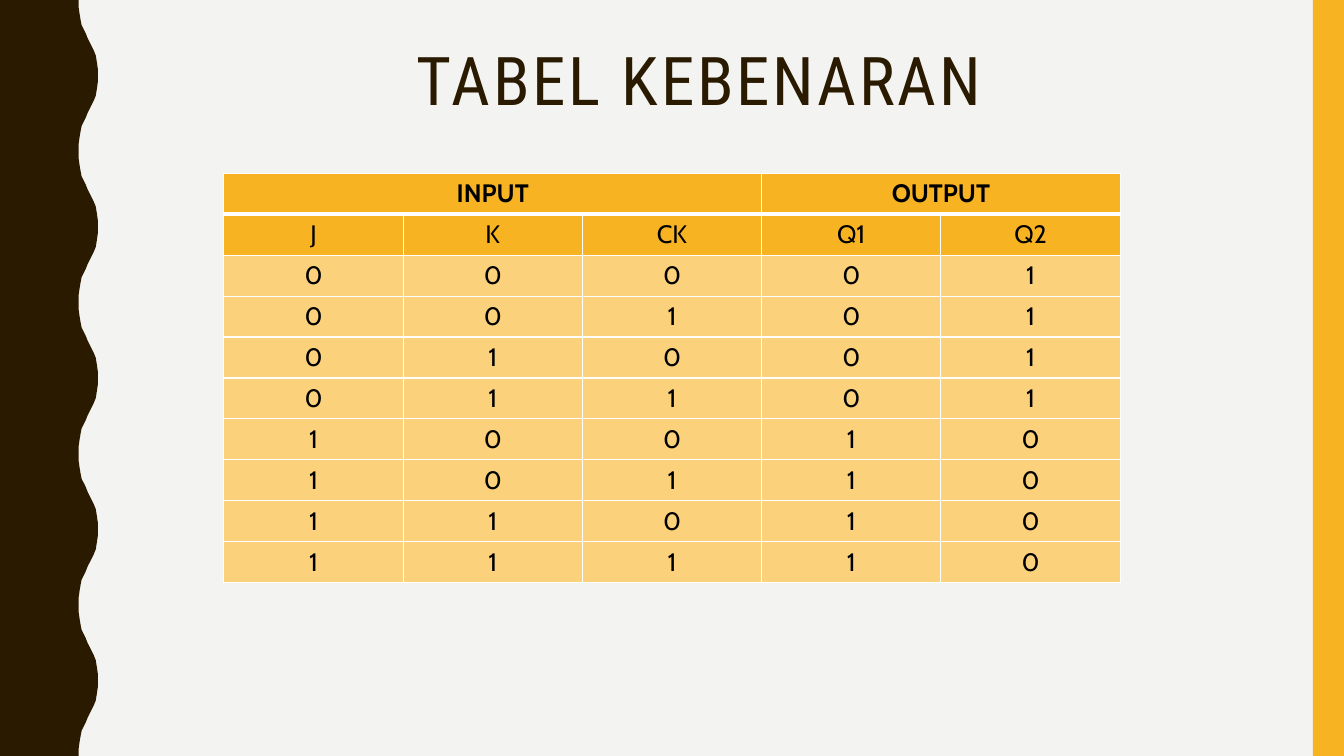
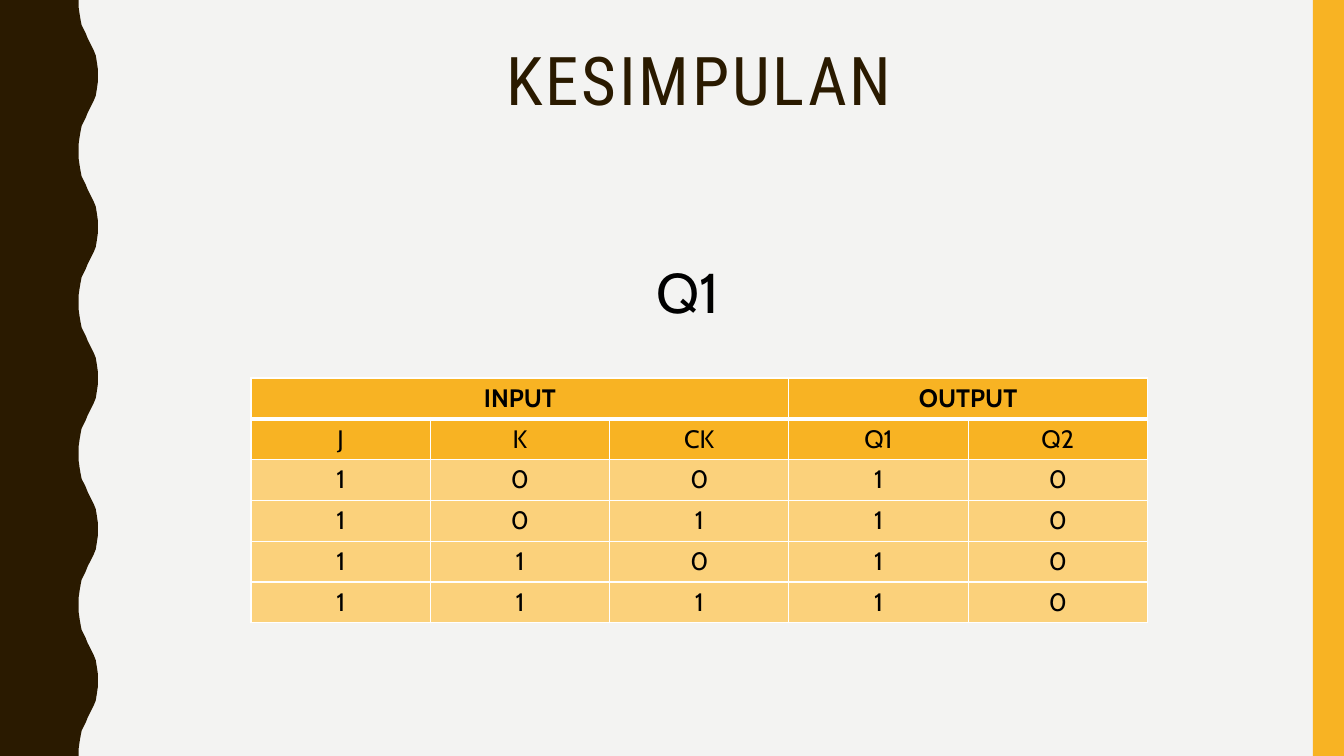
from itertools import product

from lxml import etree
from pptx import Presentation
from pptx.dml.color import RGBColor
from pptx.enum.shapes import MSO_SHAPE
from pptx.enum.text import MSO_ANCHOR, MSO_AUTO_SIZE, PP_ALIGN
from pptx.oxml.ns import qn
from pptx.util import Inches, Pt

RECTANGLE = MSO_SHAPE.RECTANGLE
CENTER = PP_ALIGN.CENTER
TOP = MSO_ANCHOR.TOP
FIXED_SIZE = MSO_AUTO_SIZE.NONE
GROW = MSO_AUTO_SIZE.SHAPE_TO_FIT_TEXT

COLORS = {
    "background": "F3F3F2",
    "brown": "2A1A00",
    "amber": "F8B323",
    "light_amber": "FBD17B",
    "white": "FFFFFF",
    "black": "000000",
}
TITLE_FONT = "Roboto Condensed"
BODY_FONT = "Cabin"
SLIDE_WIDTH, SLIDE_HEIGHT = 13.33, 7.5

# Half a wave of the left band, from trough to crest, as (x, y) in inches
WAVE_PERIOD = 1.5
HALF_WAVE = [
    (0.78, 0), (0.78, 0.07), (0.79, 0.14), (0.8, 0.2), (0.81, 0.25),
    (0.83, 0.29), (0.85, 0.33), (0.87, 0.38), (0.89, 0.42), (0.91, 0.46),
    (0.93, 0.5), (0.95, 0.55), (0.96, 0.61), (0.97, 0.68), (0.97, 0.75),
]

# J-K truth table: Q1 follows J, Q2 is its complement
GROUPS = [("INPUT", 0, 2), ("OUTPUT", 3, 4)]
SIGNALS = ["J", "K", "CK", "Q1", "Q2"]
TRUTH_ROWS = [(j, k, ck, j, 1 - j) for j, k, ck in product((0, 1), repeat=3)]
TABLE_WIDTH = 8.89


def rgb(name):
    return RGBColor.from_string(COLORS[name])


def style_runs(paragraph, font_name, size, color, bold=False):
    for run in paragraph.runs:
        run.font.name = font_name
        run.font.size = Pt(size)
        run.font.bold = bold
        run.font.color.rgb = rgb(color)


# Shared layout: background, wavy band and side strip
def paint(shape, color):
    shape.shadow.inherit = False
    shape.fill.solid()
    shape.fill.fore_color.rgb = rgb(color)
    shape.line.fill.background()


def add_wavy_band(slide):
    fall = [(x, WAVE_PERIOD - y) for x, y in reversed(HALF_WAVE[:-1])]
    wave = HALF_WAVE + fall
    crests = int(SLIDE_HEIGHT / WAVE_PERIOD)
    edge = [(x, y + n * WAVE_PERIOD) for n in range(crests) for x, y in wave]
    outline = edge + [(0, SLIDE_HEIGHT)]
    builder = slide.shapes.build_freeform(0, 0)
    builder.add_line_segments([(Inches(x), Inches(y)) for x, y in outline])
    band = builder.convert_to_shape()
    paint(band, "brown")
    return band


def add_side_strip(slide):
    strip = slide.shapes.add_shape(
        RECTANGLE, Inches(13.02), 0, Inches(0.31), Inches(SLIDE_HEIGHT))
    paint(strip, "amber")
    return strip


def decorate_layout(layout, slide):
    """Draw the bands on a slide, then move them to its layout."""
    layout.background.fill.solid()
    layout.background.fill.fore_color.rgb = rgb("background")
    for band in (add_side_strip(slide), add_wavy_band(slide)):
        layout.shapes.element.insert(2, band.element)


# Slide content
def add_title(slide, text):
    title = slide.shapes.title
    title.left, title.top = Inches(1.37), Inches(0.42)
    title.width, title.height = Inches(11.13), Inches(1.63)
    frame = title.text_frame
    frame.text = text
    frame.auto_size = FIXED_SIZE
    frame.vertical_anchor = TOP
    paragraph = frame.paragraphs[0]
    paragraph.alignment = CENTER
    paragraph.line_spacing = 0.9
    style_runs(paragraph, TITLE_FONT, 48, "brown")
    for run in paragraph.runs:
        run.font._element.set("spc", "200")


def add_caption(slide, text):
    caption = slide.shapes.add_textbox(
        Inches(6.41), Inches(2.51), Inches(1.06), Inches(0.77))
    frame = caption.text_frame
    frame.word_wrap = True
    frame.auto_size = GROW
    frame.text = text
    style_runs(frame.paragraphs[0], BODY_FONT, 40, "black")


def set_borders(cell, **widths):
    properties = cell._tc.get_or_add_tcPr()
    for side in "LRTB":
        line = etree.SubElement(properties, qn(f"a:ln{side}"),
                                w=str(Pt(widths.get(side, 1))))
        fill = etree.SubElement(line, qn("a:solidFill"))
        etree.SubElement(fill, qn("a:srgbClr"), val=COLORS["white"])


def format_cell(cell, row):
    if row == 0:
        set_borders(cell, B=3)
    elif row == 1:
        set_borders(cell, T=3)
    else:
        set_borders(cell)
    cell.fill.solid()
    cell.fill.fore_color.rgb = rgb("amber" if row < 2 else "light_amber")
    paragraph = cell.text_frame.paragraphs[0]
    paragraph.alignment = CENTER
    style_runs(paragraph, BODY_FONT, 18, "black", bold=row == 0)


def add_truth_table(slide, left, top, height, truth_rows):
    lines = [SIGNALS, *truth_rows]
    table = slide.shapes.add_table(
        len(lines) + 1, len(SIGNALS), Inches(left), Inches(top),
        Inches(TABLE_WIDTH), Inches(height)).table
    table.horz_banding = False
    for label, first, last in GROUPS:
        table.cell(0, first).merge(table.cell(0, last))
        table.cell(0, first).text = label
    for row, values in enumerate(lines, start=1):
        for column, value in enumerate(values):
            table.cell(row, column).text = str(value)
    for row, column in product(range(len(lines) + 1), range(len(SIGNALS))):
        format_cell(table.cell(row, column), row)


def main():
    deck = Presentation()
    deck.slide_width = Inches(SLIDE_WIDTH)
    deck.slide_height = Inches(SLIDE_HEIGHT)
    title_only = deck.slide_layouts[5]

    # Truth table
    truth = deck.slides.add_slide(title_only)
    decorate_layout(title_only, truth)
    add_title(truth, "TABEL KEBENARAN")
    add_truth_table(truth, 2.22, 1.72, 4.06, TRUTH_ROWS)

    # Conclusion: the rows in which Q1 is set
    conclusion = deck.slides.add_slide(title_only)
    add_title(conclusion, "KESIMPULAN")
    add_caption(conclusion, "Q1")
    q1 = SIGNALS.index("Q1")
    add_truth_table(conclusion, 2.49, 3.75, 2.43,
                    [row for row in TRUTH_ROWS if row[q1] == 1])

    deck.save("out.pptx")


main()
